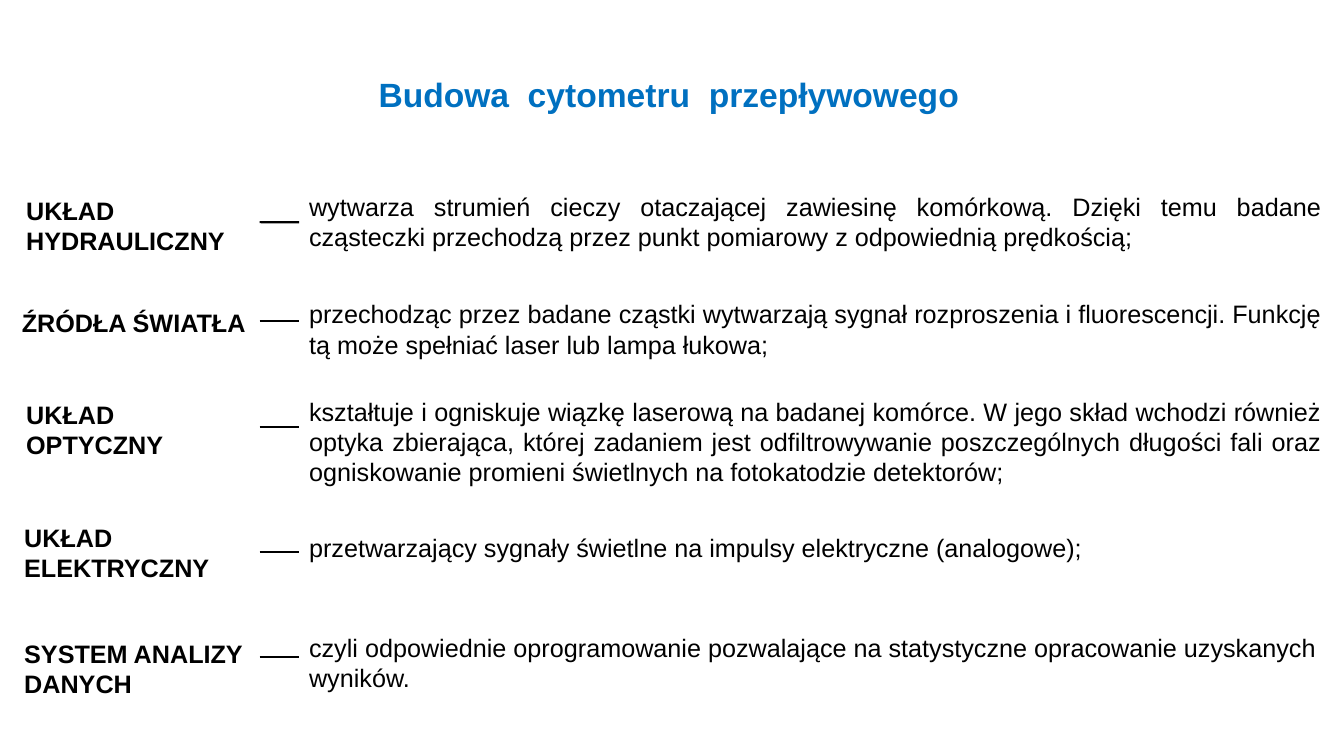
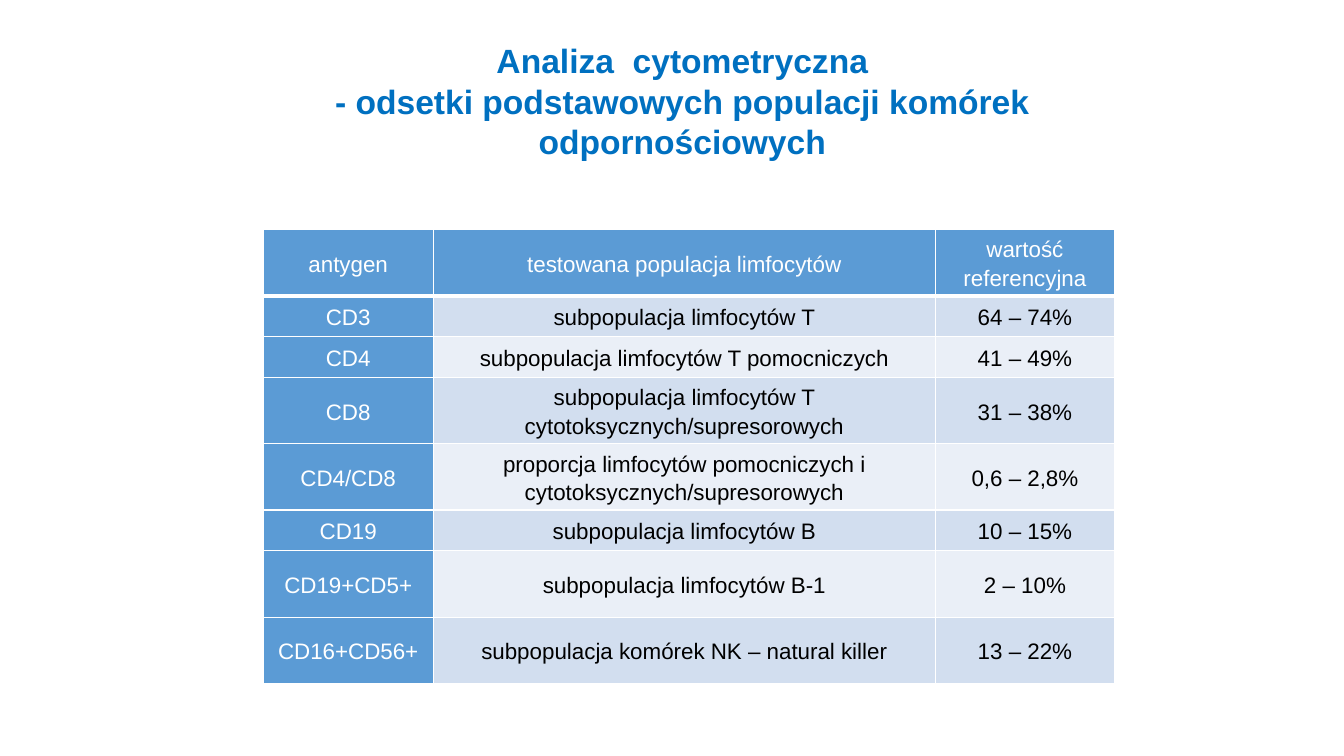
from dataclasses import dataclass

from lxml.etree import SubElement
from pptx import Presentation
from pptx.dml.color import RGBColor
from pptx.enum.shapes import MSO_CONNECTOR
from pptx.enum.text import MSO_ANCHOR, MSO_AUTO_SIZE, PP_ALIGN
from pptx.oxml.ns import qn
from pptx.shapes.autoshape import Shape
from pptx.slide import Slide
from pptx.table import _Cell
from pptx.text.text import _Paragraph
from pptx.util import Cm, Pt

FONT = "Arial"
COLORS = {
    "title": "0070C0",
    "text": "000000",
    "light": "FFFFFF",
    "header": "5B9BD5",
    "odd_row": "D2DEEF",
    "even_row": "EAEFF7",
}
LEFT, CENTER, JUSTIFY = PP_ALIGN.LEFT, PP_ALIGN.CENTER, PP_ALIGN.JUSTIFY


@dataclass(frozen=True)
class Area:
    left: float
    top: float
    width: float
    height: float


@dataclass(frozen=True)
class TextStyle:
    size: int
    color: str = "text"
    bold: bool = False
    align: PP_ALIGN = LEFT


@dataclass(frozen=True)
class Component:
    label: str
    label_area: Area
    description: str
    description_top: float
    description_height: float
    dash_y: float
    align: PP_ALIGN = JUSTIFY
    wrap_label: bool = False


TITLE = TextStyle(24, "title", True, CENTER)
LABEL = TextStyle(18, bold=True)
DESCRIPTION_LEFT, DESCRIPTION_WIDTH = 7.54, 26.01
DASH_LEFT = 6.54

COMPONENTS = [
    Component(
        "UKŁAD\nHYDRAULICZNY", Area(0.41, 4.8, 5.56, 1.8),
        "wytwarza strumień cieczy otaczającej zawiesinę komórkową. Dzięki temu badane "
        "cząsteczki przechodzą przez punkt pomiarowy z odpowiednią prędkością;",
        4.7, 1.8, 5.6,
    ),
    Component(
        "ŹRÓDŁA ŚWIATŁA", Area(0.3, 7.62, 6.22, 1.02),
        "przechodząc przez badane cząstki wytwarzają sygnał rozproszenia i fluorescencji. "
        "Funkcję tą może spełniać laser lub lampa łukowa;",
        7.4, 1.8, 8.08,
    ),
    Component(
        "UKŁAD\nOPTYCZNY", Area(0.41, 9.93, 4.01, 1.8),
        "kształtuje i ogniskuje wiązkę laserową na badanej komórce. W jego skład wchodzi "
        "również optyka zbierająca, której zadaniem jest odfiltrowywanie poszczególnych "
        "długości fali oraz ogniskowanie promieni świetlnych na fotokatodzie detektorów;",
        9.86, 2.57, 10.77,
    ),
    Component(
        "UKŁAD ELEKTRYCZNY", Area(0.36, 13.03, 5.97, 1.8),
        "przetwarzający sygnały świetlne na impulsy elektryczne (analogowe);",
        13.28, 1.02, 13.92, LEFT, True,
    ),
    Component(
        "SYSTEM ANALIZY\nDANYCH", Area(0.36, 15.95, 6.25, 1.8),
        "czyli odpowiednie oprogramowanie pozwalające na statystyczne opracowanie "
        "uzyskanych wyników.",
        15.8, 1.8, 16.56, LEFT,
    ),
]

COLUMN_WIDTHS = [4.29, 12.65, 4.52]
SHORT_ROW, TALL_ROW = 1.03, 1.67
ROW_HEIGHTS = [TALL_ROW, SHORT_ROW, SHORT_ROW, TALL_ROW,
               TALL_ROW, SHORT_ROW, TALL_ROW, TALL_ROW]
POPULATIONS = [
    ("antygen", "testowana populacja limfocytów", "wartość referencyjna"),
    ("CD3", "subpopulacja limfocytów T", "64 – 74%"),
    ("CD4", "subpopulacja limfocytów T pomocniczych", "41 – 49%"),
    ("CD8", "subpopulacja limfocytów T cytotoksycznych/supresorowych", "31 – 38%"),
    ("CD4/CD8", "proporcja limfocytów pomocniczych i cytotoksycznych/supresorowych",
     "0,6 – 2,8%"),
    ("CD19", "subpopulacja limfocytów B", "10 – 15%"),
    ("CD19+CD5+", "subpopulacja limfocytów B-1", "2 – 10%"),
    ("CD16+CD56+", "subpopulacja komórek NK – natural killer", "13 – 22%"),
]


def rgb(name: str) -> RGBColor:
    return RGBColor.from_string(COLORS[name])


def format_paragraph(para: _Paragraph, style: TextStyle) -> None:
    para.alignment = style.align
    for span in para.runs:
        span.font.name = FONT
        span.font.size = Pt(style.size)
        span.font.bold = style.bold
        span.font.color.rgb = rgb(style.color)


def add_text(page: Slide, area: Area, text: str, style: TextStyle, wrap: bool = True) -> Shape:
    box = page.shapes.add_textbox(Cm(area.left), Cm(area.top), Cm(area.width), Cm(area.height))
    frame = box.text_frame
    frame.word_wrap = wrap
    frame.auto_size = MSO_AUTO_SIZE.SHAPE_TO_FIT_TEXT
    frame.text = text
    for para in frame.paragraphs:
        format_paragraph(para, style)
    return box


def add_dash(page: Slide, y: float, description: Shape) -> None:
    dash = page.shapes.add_connector(
        MSO_CONNECTOR.STRAIGHT, Cm(DASH_LEFT), Cm(y), Cm(DESCRIPTION_LEFT), Cm(y))
    dash.line.color.rgb = rgb("text")
    dash.line.width = Pt(1.5)
    SubElement(dash.element.spPr, qn("a:effectLst"))
    middle = description.top + description.height // 2
    if abs(middle - Cm(y)) < Cm(0.05):
        dash.end_connect(description, 1)


def add_component(page: Slide, component: Component) -> None:
    add_text(page, component.label_area, component.label, LABEL, component.wrap_label)
    area = Area(DESCRIPTION_LEFT, component.description_top,
                DESCRIPTION_WIDTH, component.description_height)
    description = add_text(page, area, component.description,
                           TextStyle(18, align=component.align))
    add_dash(page, component.dash_y, description)


def set_borders(cell: _Cell, top: int, bottom: int) -> None:
    properties = cell._tc.get_or_add_tcPr()
    for side, width in (("L", 1), ("R", 1), ("T", top), ("B", bottom)):
        line = SubElement(properties, qn(f"a:ln{side}"), w=str(Pt(width)))
        fill = SubElement(line, qn("a:solidFill"))
        SubElement(fill, qn("a:srgbClr"), val=COLORS["light"])


def format_cell(cell: _Cell, row: int, column: int) -> None:
    is_heading = row == 0 or column == 0
    set_borders(cell, 3 if row == 1 else 1, 3 if row == 0 else 1)
    band = "odd_row" if row % 2 else "even_row"
    cell.fill.solid()
    cell.fill.fore_color.rgb = rgb("header" if is_heading else band)
    cell.vertical_anchor = MSO_ANCHOR.MIDDLE
    cell.margin_left = cell.margin_right = Cm(0.18)
    cell.margin_top = cell.margin_bottom = Cm(0)
    para = cell.text_frame.paragraphs[0]
    para.line_spacing = 1.15
    format_paragraph(para, TextStyle(16, "light" if is_heading else "text", align=CENTER))


def add_population_table(page: Slide) -> None:
    table = page.shapes.add_table(
        len(POPULATIONS), len(COLUMN_WIDTHS), Cm(6.63), Cm(5.78),
        Cm(sum(COLUMN_WIDTHS)), Cm(sum(ROW_HEIGHTS))).table
    for column, width in zip(table.columns, COLUMN_WIDTHS):
        column.width = Cm(width)
    for row, height in zip(table.rows, ROW_HEIGHTS):
        row.height = Cm(height)
    for row_index, texts in enumerate(POPULATIONS):
        for column_index, text in enumerate(texts):
            cell = table.cell(row_index, column_index)
            cell.text_frame.text = text
            format_cell(cell, row_index, column_index)


def main() -> None:
    deck = Presentation()
    deck.slide_width, deck.slide_height = Cm(33.87), Cm(19.05)
    blank = deck.slide_layouts[6]

    structure = deck.slides.add_slide(blank)
    add_text(structure, Area(6.58, 1.75, 20.55, 1.27),
             "Budowa  cytometru  przepływowego", TITLE)
    for component in COMPONENTS:
        add_component(structure, component)

    analysis = deck.slides.add_slide(blank)
    add_population_table(analysis)
    add_text(analysis, Area(5.28, 0.89, 23.83, 3.33),
             "Analiza  cytometryczna\n"
             "- odsetki podstawowych populacji komórek odpornościowych", TITLE)

    deck.save("out.pptx")


if __name__ == "__main__":
    main()
